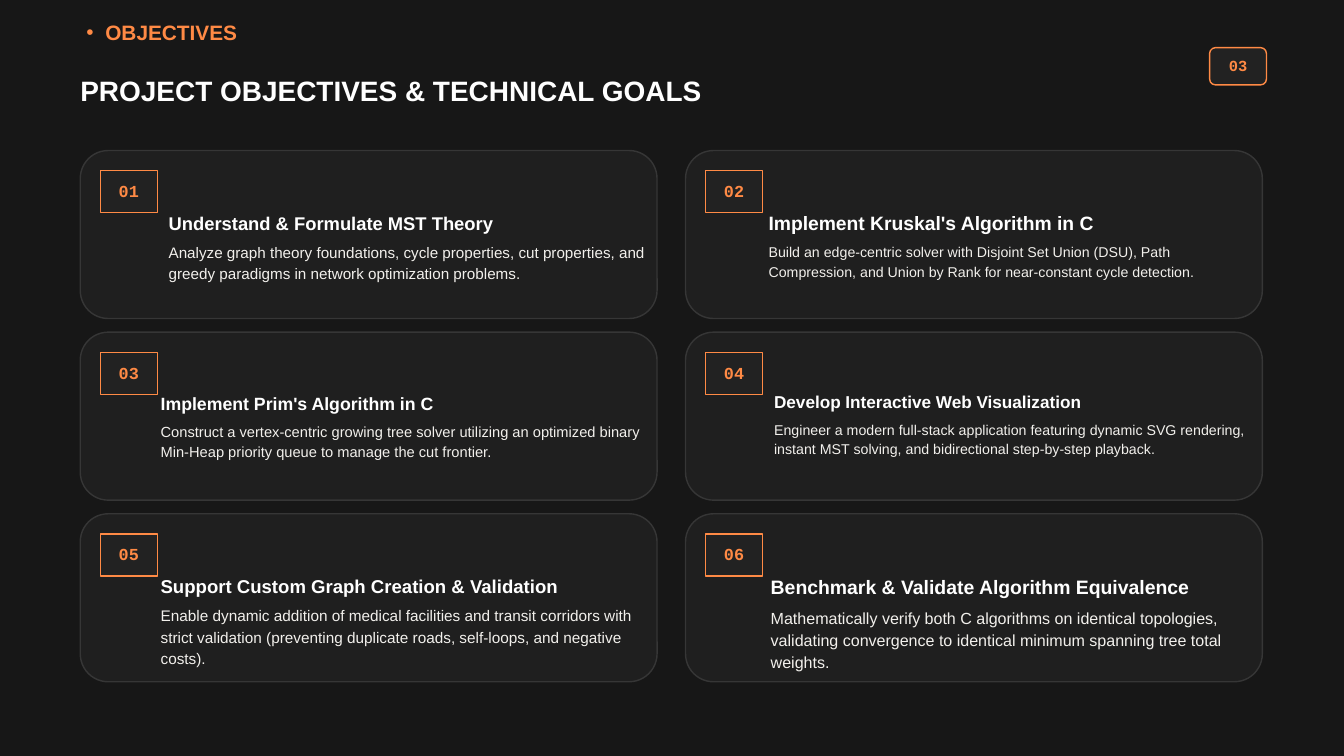
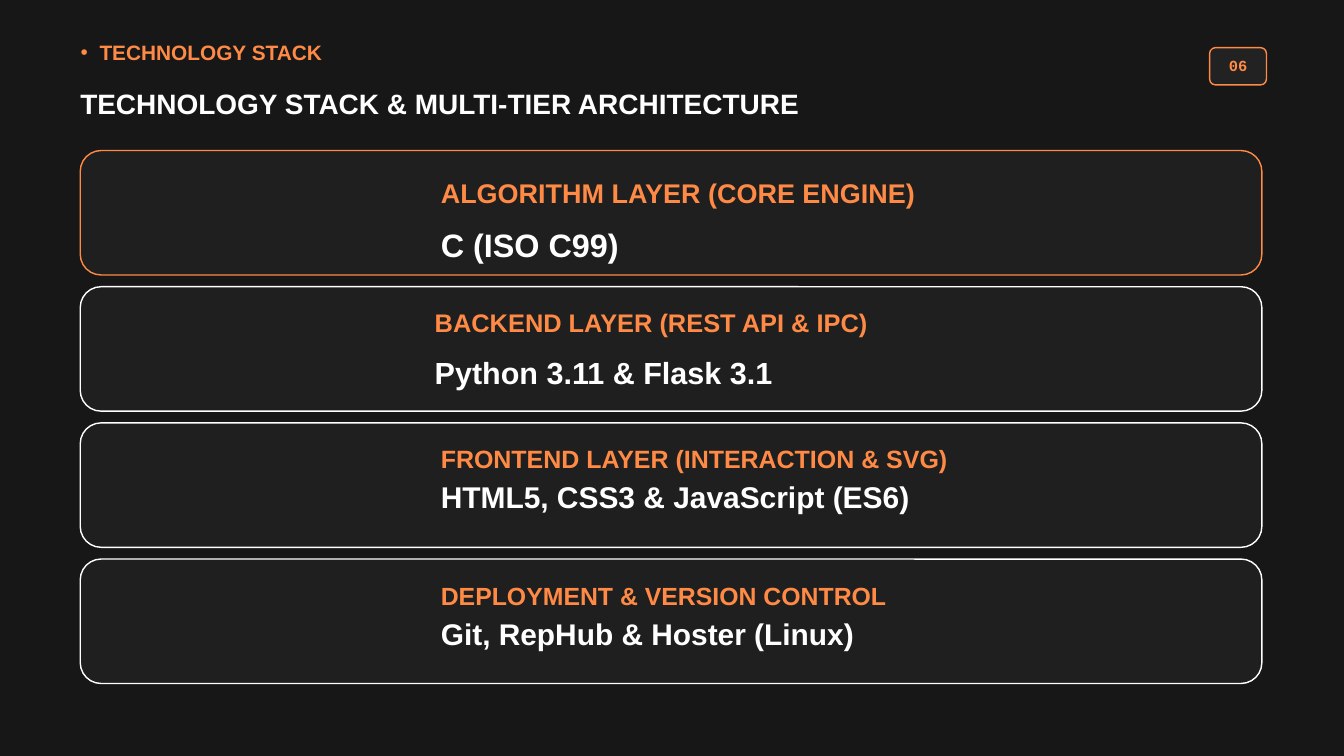
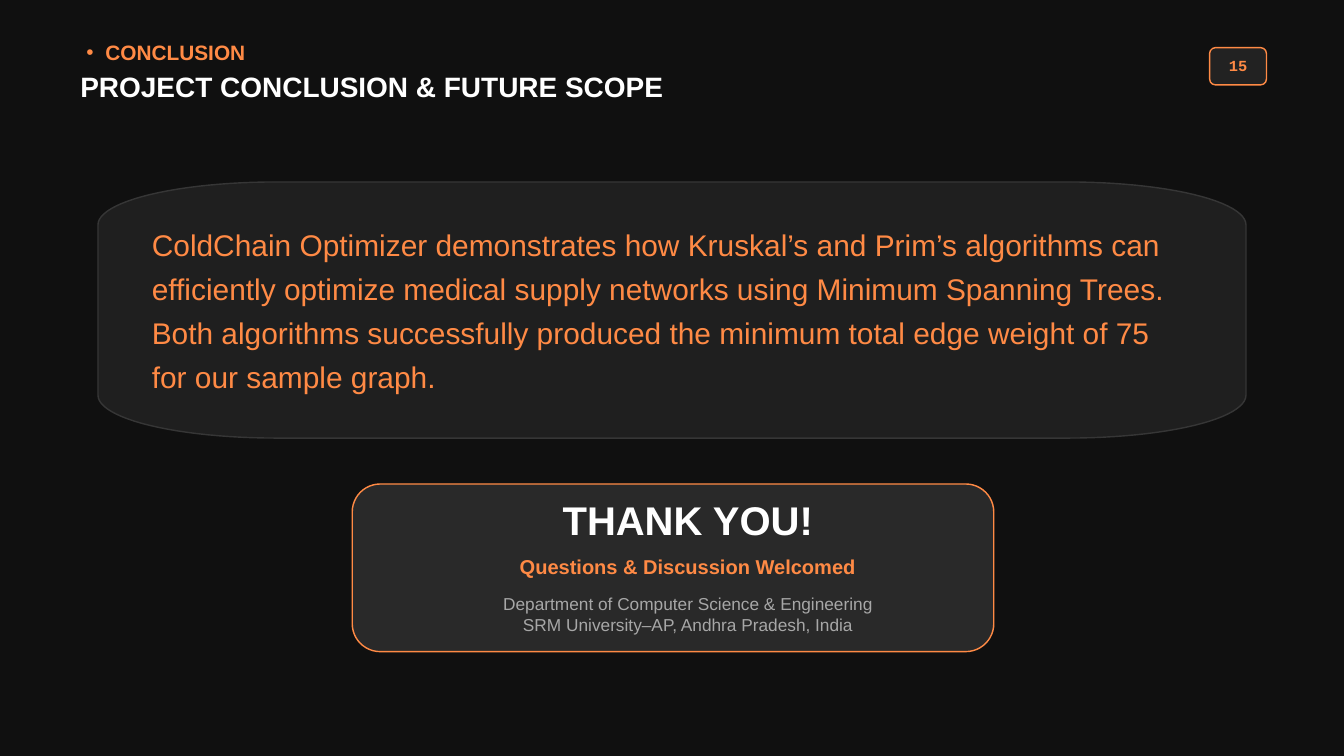
from math import cos, pi, sin

from lxml.etree import SubElement
from pptx import Presentation
from pptx.dml.color import RGBColor
from pptx.enum.shapes import MSO_SHAPE as Shape
from pptx.enum.text import MSO_ANCHOR as Anchor, MSO_AUTO_SIZE as AutoSize, PP_ALIGN as Align
from pptx.oxml.ns import qn
from pptx.util import Pt

COLORS = {
    "page": "171717",
    "closing page": "101010",
    "panel": "1F1F1F",
    "badge": "222222",
    "thanks": "292929",
    "edge": "363636",
    "accent": "FF8A45",
    "white": "FFFFFF",
    "body": "F2F0EC",
    "muted": "A7A7A7",
}
TITLE_ONLY = 5
LEFT = 86
TOP = 161.3
FULL_WIDTH = 1266


class Board:
    """The deck's style together with the slide being drawn."""

    def __init__(self):
        self.deck = Presentation()
        self.deck.slide_width, self.deck.slide_height = Pt(1440), Pt(810)
        self.page = None

    def color(self, name):
        return RGBColor.from_string(COLORS[name])

    def start(self, title, title_top, section, section_at, number, background="page"):
        """Add a slide with its section label, title and page badge."""
        self.page = self.deck.slides.add_slide(self.deck.slide_layouts[TITLE_ONLY])
        fill = self.page.background.fill
        fill.solid()
        fill.fore_color.rgb = self.color(background)
        holder = self.page.shapes.title
        holder.left, holder.top, holder.width, holder.height = map(Pt, (LEFT, title_top, 1167, 72))
        self.frame(holder)
        self.add_para(holder, title, 30, "white", bold=True)
        left, top = section_at
        label = self.text_box(left, top, 400, 28)
        self.bullet(self.add_para(label, section, 22.3, "accent", bold=True), 20.2)
        badge = self.panel(1296, 51, 61, 40, "badge", "accent", radius=6.5)
        self.number(badge, number, 16.5)

    def frame(self, shape, anchor=Anchor.TOP):
        """Clear the margins of a shape's text and let it wrap."""
        text = shape.text_frame
        text.auto_size = AutoSize.NONE
        text.word_wrap = True
        text.vertical_anchor = anchor
        text.margin_left = text.margin_top = text.margin_right = text.margin_bottom = 0

    def add_para(self, shape, words, size, color, bold=False, leading=1.2, before=0,
                 align=Align.LEFT, font="Arial"):
        """Append one paragraph; leading is a multiple of the size."""
        text = shape.text_frame
        para = text.paragraphs[0]
        if para.runs:
            para = text.add_paragraph()
        para.alignment = align
        para.line_spacing = Pt(size * leading)
        para.space_before = Pt(before)
        span = para.add_run()
        span.text = words
        span.font.name, span.font.size, span.font.bold = font, Pt(size), bold
        span.font.color.rgb = self.color(color)
        return para

    def bullet(self, para, indent):
        properties = para._p.get_or_add_pPr()
        properties.set("marL", str(Pt(indent)))
        properties.set("indent", str(-Pt(indent)))
        SubElement(properties, qn("a:buFont"), typeface="Arial")
        SubElement(properties, qn("a:buChar"), char="•")

    def text_box(self, left, top, width, height):
        box = self.page.shapes.add_textbox(*map(Pt, (left, top, width, height)))
        self.frame(box)
        return box

    def paint(self, shape, fill, line):
        shape.shadow.inherit = False
        shape.fill.solid()
        shape.fill.fore_color.rgb = self.color(fill)
        shape.line.color.rgb = self.color(line)
        shape.line.width = Pt(1.5)

    def panel(self, left, top, width, height, fill, line, radius=0):
        kind = Shape.ROUNDED_RECTANGLE if radius else Shape.RECTANGLE
        shape = self.page.shapes.add_shape(kind, *map(Pt, (left, top, width, height)))
        if radius:
            shape.adjustments[0] = radius / min(width, height)
        self.paint(shape, fill, line)
        return shape

    def oval_cornered_panel(self, left, top, width, height, radius_x, radius_y, fill, line):
        """Draw a panel whose corners are quarter ellipses."""
        right, bottom = left + width - radius_x, top + height - radius_y
        centers = [(right, bottom), (left + radius_x, bottom),
                   (left + radius_x, top + radius_y), (right, top + radius_y)]
        steps = 24
        points = []
        for corner, (x, y) in enumerate(centers):
            for step in range(steps + 1):
                angle = (corner + step / steps) * pi / 2
                points.append((Pt(x + radius_x * cos(angle)), Pt(y + radius_y * sin(angle))))
        builder = self.page.shapes.build_freeform(*points[0])
        builder.add_line_segments(points[1:], close=True)
        self.paint(builder.convert_to_shape(), fill, line)

    def number(self, shape, digits, size):
        self.frame(shape, Anchor.MIDDLE)
        shape.text_frame.margin_bottom = Pt(2)
        self.add_para(shape, digits, size, "accent", bold=True, align=Align.CENTER,
                      font="Courier New")


def draw_objectives(board):
    board.start("PROJECT OBJECTIVES & TECHNICAL GOALS", 79.2, "OBJECTIVES", (92.6, 20.9), "03")
    # heading, its size, body, its size, left, top and width of the text
    goals = [
        ("Understand & Formulate MST Theory", 19.7,
         "Analyze graph theory foundations, cycle properties, cut properties, and greedy "
         "paradigms in network optimization problems.", 16.3, 180.7, 226.8, 520),
        ("Implement Kruskal's Algorithm in C", 20.7,
         "Build an edge-centric solver with Disjoint Set Union (DSU), Path Compression, and "
         "Union by Rank for near-constant cycle detection.", 15.2, 823.5, 226.8, 528.5),
        ("Implement Prim's Algorithm in C", 19,
         "Construct a vertex-centric growing tree solver utilizing an optimized binary Min-Heap "
         "priority queue to manage the cut frontier.", 15.7, 172.1, 421.2, 548.6),
        ("Develop Interactive Web Visualization", 18.4,
         "Engineer a modern full-stack application featuring dynamic SVG rendering, instant MST "
         "solving, and bidirectional step-by-step playback.", 15.2, 829.4, 419.8, 529.2),
        ("Support Custom Graph Creation & Validation", 19.9,
         "Enable dynamic addition of medical facilities and transit corridors with strict "
         "validation (preventing duplicate roads, self-loops, and negative costs).",
         16.4, 172.1, 616.3, 534.2),
        ("Benchmark & Validate Algorithm Equivalence", 20.8,
         "Mathematically verify both C algorithms on identical topologies, validating "
         "convergence to identical minimum spanning tree total weights.",
         17.2, 825.8, 616.3, 533.5),
    ]
    for index, (heading, heading_size, body, body_size, left, top, width) in enumerate(goals):
        row, column = divmod(index, 2)
        card_left, card_top = LEFT + column * 648.5, TOP + row * 194.6
        board.panel(card_left, card_top, 618, 180, "panel", "edge", radius=30)
        tag = board.panel(card_left + 21.5, card_top + 21.5, 61, 45, "badge", "accent")
        board.number(tag, f"{index + 1:02}", 18)
        box = board.text_box(left, top, width, 103)
        board.add_para(box, heading, heading_size, "white", bold=True)
        board.add_para(box, body, body_size, "body", leading=1.38, before=body_size * 0.42)


def draw_stack(board):
    board.start("TECHNOLOGY STACK & MULTI-TIER ARCHITECTURE", 92.9, "TECHNOLOGY STACK",
                (86.4, 42.5), "06")
    # layer, its size, tools, their size, leading, left and top of the text, outline
    layers = [
        ("ALGORITHM LAYER (CORE ENGINE)", 28.9, "C (ISO C99)", 34.7,
         1.51, 472.3, 180.7, "accent"),
        ("BACKEND LAYER (REST API & IPC)", 27.2, "Python 3.11 & Flask 3.1", 32.7,
         1.56, 465.8, 319.7, "white"),
        ("FRONTEND LAYER (INTERACTION & SVG)", 26.8, "HTML5, CSS3 & JavaScript (ES6)", 32.1,
         1.2, 472.3, 475.2, "white"),
        ("DEPLOYMENT & VERSION CONTROL", 26.6, "Git, RepHub & Hoster (Linux)", 32,
         1.2, 472.3, 622.1, "white"),
    ]
    for index, (layer, layer_size, tools, tools_size, leading, left, top, line) in enumerate(layers):
        board.panel(LEFT, TOP + index * 145.9, FULL_WIDTH, 133.3, "panel", line, radius=22.3)
        box = board.text_box(left, top, 620, 101)
        board.add_para(box, layer, layer_size, "accent", bold=True, leading=leading)
        board.add_para(box, tools, tools_size, "white", bold=True, leading=leading,
                       before=tools_size / 6)


def draw_conclusion(board):
    board.start("PROJECT CONCLUSION & FUTURE SCOPE", 74.2, "CONCLUSION", (92.6, 42.5), "15",
                background="closing page")
    board.oval_cornered_panel(105, 195, 1230, 274.4, 190.8, 46, "panel", "edge")
    summary = board.text_box(162.7, 234.7, 1116, 190)
    board.add_para(summary,
                   "ColdChain Optimizer demonstrates how Kruskal’s and Prim’s algorithms can "
                   "efficiently optimize medical supply networks using Minimum Spanning Trees. Both "
                   "algorithms successfully produced the minimum total edge weight of 75 for our "
                   "sample graph.", 32, "accent", leading=1.47)
    board.panel(377.4, 518.6, 687.4, 179.6, "thanks", "accent", radius=30)
    thanks = board.text_box(262.8, 531.3, 948.2, 151)
    for words, size, color, bold, before in [
        ("THANK YOU!", 42.9, "white", True, 0),
        ("Questions & Discussion Welcomed", 21.5, "accent", True, 11.7),
        ("Department of Computer Science & Engineering", 18.5, "muted", False, 15.6),
        ("SRM University–AP, Andhra Pradesh, India", 18.5, "muted", False, 0),
    ]:
        board.add_para(thanks, words, size, color, bold=bold, before=before, align=Align.CENTER)


def main():
    board = Board()
    draw_objectives(board)
    draw_stack(board)
    draw_conclusion(board)
    board.deck.save("out.pptx")


if __name__ == "__main__":
    main()
